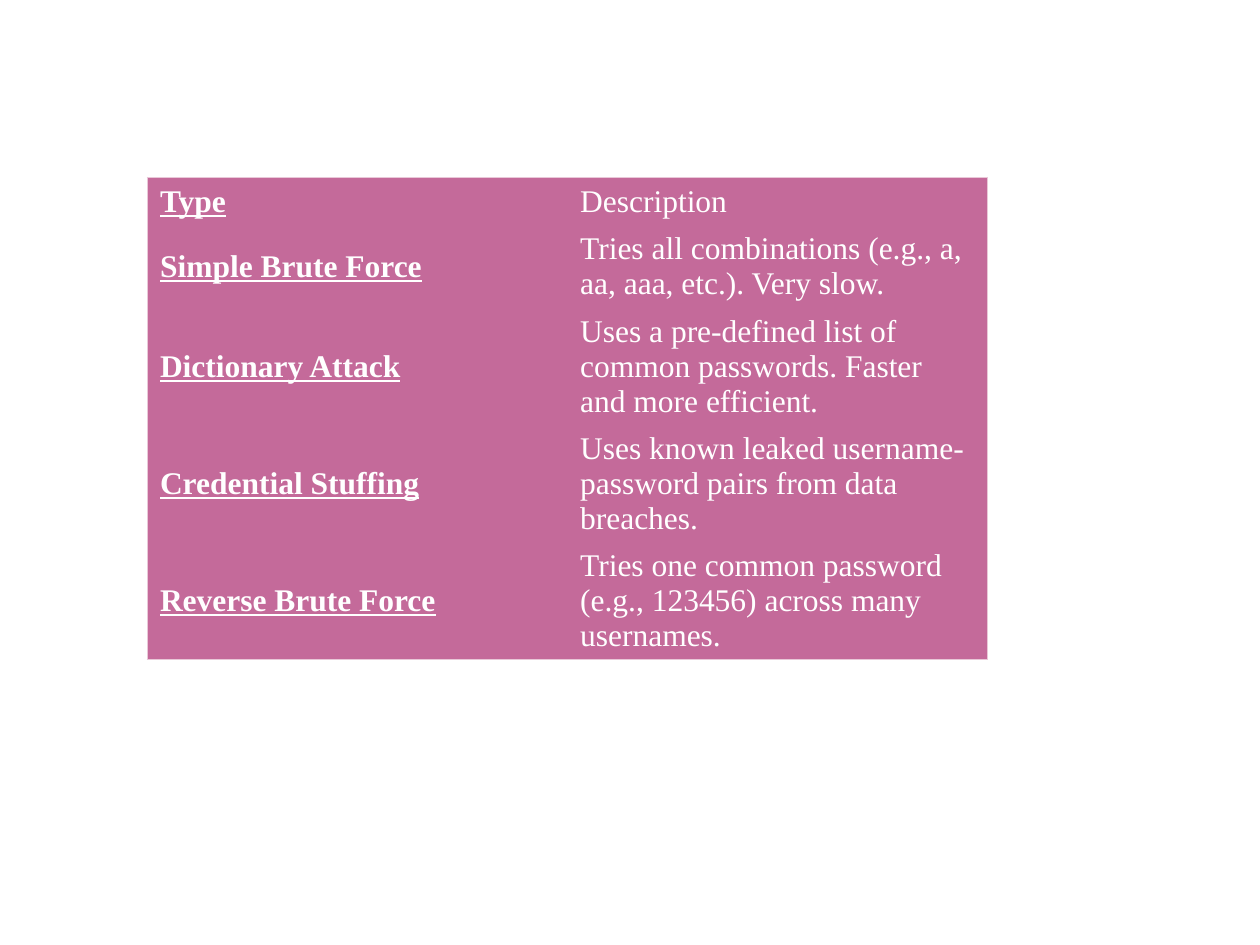
from lxml import etree
from pptx import Presentation
from pptx.dml.color import RGBColor
from pptx.enum.text import MSO_ANCHOR
from pptx.oxml.ns import qn
from pptx.util import Inches, Pt

MIDDLE = MSO_ANCHOR.MIDDLE
FONT = "Times New Roman"
FILL = "C46A9A"
BORDER = "E9C8D8"
WHITE = "FFFFFF"

ROWS = [
    ("Type", "Description", 0.38),
    ("Simple Brute Force", "Tries all combinations (e.g., a, aa, aaa, etc.). Very slow.", 0.65),
    ("Dictionary Attack", "Uses a pre-defined list of common passwords. Faster and more efficient.", 0.93),
    ("Credential Stuffing", "Uses known leaked username-password pairs from data breaches.", 0.93),
    ("Reverse Brute Force", "Tries one common password (e.g., 123456) across many usernames.", 0.93),
]


def rgb(value):
    return RGBColor.from_string(value)


def set_borders(cell, visible):
    tcPr = cell._tc.get_or_add_tcPr()
    for side in ("L", "R", "T", "B"):
        ln = etree.SubElement(tcPr, qn(f"a:ln{side}"), w=str(Pt(0.9)))
        if side in visible:
            fill = etree.SubElement(ln, qn("a:solidFill"))
            etree.SubElement(fill, qn("a:srgbClr"), val=BORDER)
        else:
            etree.SubElement(ln, qn("a:noFill"))


def style_cell(cell, text, is_label, visible):
    set_borders(cell, visible)
    cell.fill.solid()
    cell.fill.fore_color.rgb = rgb(FILL)
    cell.vertical_anchor = MIDDLE
    p = cell.text_frame.paragraphs[0]
    p.text = text
    font = p.runs[0].font
    font.name = FONT
    font.size = Pt(18)
    font.bold = is_label
    font.underline = is_label
    font.color.rgb = rgb(WHITE)


def add_attack_table(s, left, top, width):
    height = sum(row[2] for row in ROWS)
    table = s.shapes.add_table(
        len(ROWS), 2, Inches(left), Inches(top), Inches(width), Inches(height)
    ).table
    for column in table.columns:
        column.width = Inches(width / 2)
    last = len(ROWS) - 1
    for i, (label, description, row_height) in enumerate(ROWS):
        table.rows[i].height = Inches(row_height)
        edges = ("T" if i == 0 else "") + ("B" if i == last else "")
        style_cell(table.cell(i, 0), label, True, "L" + edges)
        style_cell(table.cell(i, 1), description, False, "R" + edges)


def main():
    prs = Presentation()
    prs.slide_width = Inches(10)
    prs.slide_height = Inches(7.5)
    s = prs.slides.add_slide(prs.slide_layouts[6])
    add_attack_table(s, 1.17, 1.41, 6.67)
    prs.save("out.pptx")


if __name__ == "__main__":
    main()
